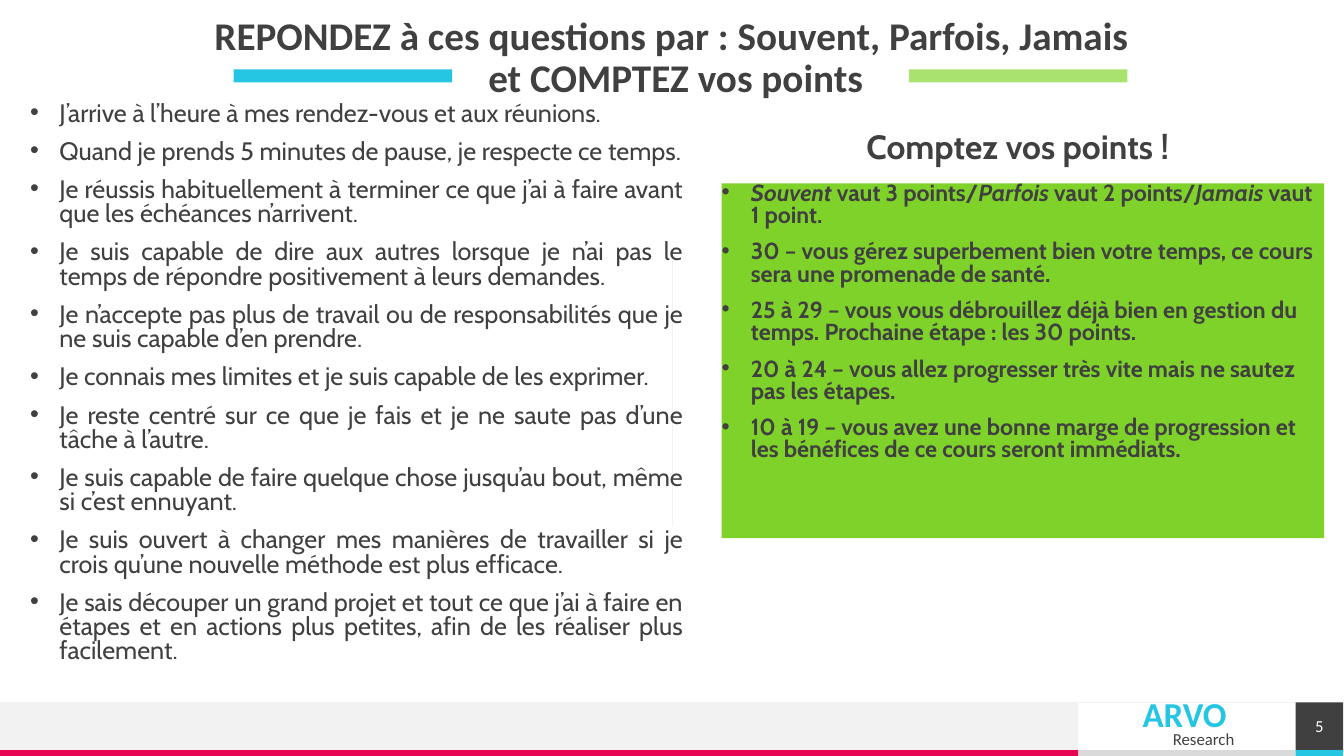
from pptx import Presentation
from pptx.dml.color import RGBColor
from pptx.enum.shapes import MSO_CONNECTOR, MSO_SHAPE
from pptx.enum.text import MSO_ANCHOR, PP_ALIGN
from pptx.oxml.ns import qn
from pptx.util import Cm, Pt
from lxml import etree

RECT = MSO_SHAPE.RECTANGLE
LINE = MSO_CONNECTOR.STRAIGHT
TOP, MIDDLE = MSO_ANCHOR.TOP, MSO_ANCHOR.MIDDLE
LEFT, CENTER = PP_ALIGN.LEFT, PP_ALIGN.CENTER
RIGHT, JUSTIFY = PP_ALIGN.RIGHT, PP_ALIGN.JUSTIFY

DARK = RGBColor(0x40, 0x40, 0x40)
WHITE = RGBColor(0xFF, 0xFF, 0xFF)
PALE = RGBColor(0xF2, 0xF2, 0xF2)
GREY = RGBColor(0xDA, 0xDA, 0xDA)
CYAN = RGBColor(0x25, 0xC6, 0xE3)
PINK = RGBColor(0xE8, 0x05, 0x54)
LIME = RGBColor(0xA9, 0xE2, 0x6F)
GREEN = RGBColor(0x7F, 0xD2, 0x2A)

deck = Presentation()
deck.slide_width, deck.slide_height = Cm(33.88), Cm(19.05)
slide = deck.slides.add_slide(deck.slide_layouts[6])
shapes = slide.shapes


def add_box(x, y, w, h, fill=None, anchor=TOP):
    """Add a filled rectangle, or a text box when no fill is given."""
    spot = Cm(x), Cm(y), Cm(w), Cm(h)
    if fill is None:
        box = shapes.add_textbox(*spot)
    else:
        box = shapes.add_shape(RECT, *spot)
        box.shadow.inherit = False
        box.fill.solid()
        box.fill.fore_color.rgb = fill
        box.line.fill.background()
    frame = box.text_frame
    frame.word_wrap = True
    frame.vertical_anchor = anchor
    frame.margin_left = frame.margin_right = 0
    frame.margin_top = frame.margin_bottom = 0
    return frame


def add_run(para, text, size, face, color=DARK, bold=False, italic=False):
    run = para.add_run()
    run.text = text
    font = run.font
    font.size, font.name, font.color.rgb = Pt(size), face, color
    font.bold, font.italic = bold, italic


# Footer bands
for x, y, w, h, fill in [
    (27.18, 18.9, 5.48, 0.15, GREY),
    (0, 17.7, 27.18, 1.2, PALE),
    (0, 18.9, 27.18, 0.15, PINK),
    (32.66, 18.9, 1.2, 0.15, CYAN),
]:
    add_box(x, y, w, h, fill)

# Thin rules: above the footer and between the columns
for x1, y1, x2, y2 in [(33.86, 17.7, 0, 17.7), (16.94, 6.58, 16.94, 13.26)]:
    rule = shapes.add_connector(LINE, Cm(x1), Cm(y1), Cm(x2), Cm(y2))
    rule.line.color.rgb = PALE
    rule.line.width = Pt(0.5)
    etree.SubElement(rule._element.spPr, qn("a:effectLst"))

# Footer name
frame = add_box(28.45, 17.86, 2.92, 1.02, anchor=MIDDLE)
frame.margin_left = frame.margin_right = Cm(0.25)
frame.margin_top = Cm(0.3)
para = frame.paragraphs[0]
para.alignment = RIGHT
para.line_spacing = Pt(10)
add_run(para, "ARVO ", 25, "Calibri", CYAN, bold=True)
para.add_line_break()
add_run(para, "Research", 12, "Calibri")

# Page number
para = add_box(32.66, 17.7, 1.2, 1.2, DARK, MIDDLE).paragraphs[0]
para.alignment = CENTER
add_run(para, "5", 12, "Calibri", WHITE)

# Title and its two bars
para = add_box(1.17, 0.38, 31.5, 2.21, anchor=MIDDLE).paragraphs[0]
para.alignment = CENTER
para.line_spacing = 0.9
add_run(para, "REPONDEZ à ces questions par : Souvent, Parfois, Jamais",
        28, "Calibri", bold=True)
para.add_line_break()
add_run(para, " et COMPTEZ vos points", 28, "Calibri", bold=True)
for x, fill in [(5.89, CYAN), (22.91, LIME)]:
    add_box(x, 1.75, 5.51, 0.33, fill)

# Heading of the score column
para = add_box(18.06, 3.3, 15.19, 1).paragraphs[0]
para.alignment = CENTER
para.line_spacing = 0.9
add_run(para, "Comptez vos points !", 24, "Cabin", bold=True)

# Bulleted lists: each item is a list of (text, italic) runs
asks = [[(text, False)] for text in [
    "J’arrive à l’heure à mes rendez-vous et aux réunions.",
    "Quand je prends 5 minutes de pause, je respecte ce temps.",
    "Je réussis habituellement à terminer ce que j’ai à faire avant que "
    "les échéances n’arrivent.",
    "Je suis capable de dire aux autres lorsque je n’ai pas le temps de "
    "répondre positivement à leurs demandes.",
    "Je n’accepte pas plus de travail ou de responsabilités que je ne suis "
    "capable d’en prendre.",
    "Je connais mes limites et je suis capable de les exprimer.",
    "Je reste centré sur ce que je fais et je ne saute pas d’une tâche à "
    "l’autre.",
    "Je suis capable de faire quelque chose jusqu’au bout, même si c’est "
    "ennuyant.",
    "Je suis ouvert à changer mes manières de travailler si je crois qu’une "
    "nouvelle méthode est plus efficace.",
    "Je sais découper un grand projet et tout ce que j’ai à faire en étapes "
    "et en actions plus petites, afin de les réaliser plus facilement.",
]]
scores = [
    [("Souvent", True), (" vaut 3 points/", False),
     ("Parfois", True), (" vaut 2 points/", False),
     ("Jamais", True), (" vaut 1 point.", False)],
    [("30 – vous gérez superbement bien votre temps, ce cours sera une "
      "promenade de santé.", False)],
    [("25 à 29 – vous vous débrouillez déjà bien en gestion du temps. "
      "Prochaine étape : les 30 points.", False)],
    [("20 à 24 – vous allez progresser très vite mais ne sautez pas les "
      "étapes.", False)],
    [("10 à 19 – vous avez une bonne marge de progression et les bénéfices "
      "de ce cours seront immédiats.", False)],
]
left = add_box(0.76, 2.59, 16.46, 15)
right = add_box(18.19, 4.62, 15.19, 8.94, GREEN)
for frame, items, align, size, bold in [
    (left, asks, JUSTIFY, 18, False),
    (right, scores, LEFT, 16.6, True),
]:
    for i, item in enumerate(items):
        para = frame.add_paragraph() if i else frame.paragraphs[0]
        para.alignment = align
        para.line_spacing = 0.8
        para.space_before = Pt(10)
        props = para._p.get_or_add_pPr()
        props.set("marL", str(Cm(0.74)))
        props.set("indent", str(-Cm(0.74)))
        etree.SubElement(props, qn("a:buFont"), typeface="Arial")
        etree.SubElement(props, qn("a:buChar"), char="•")
        for text, italic in item:
            add_run(para, text, size, "Cabin", bold=bold, italic=italic)

deck.save("out.pptx")
